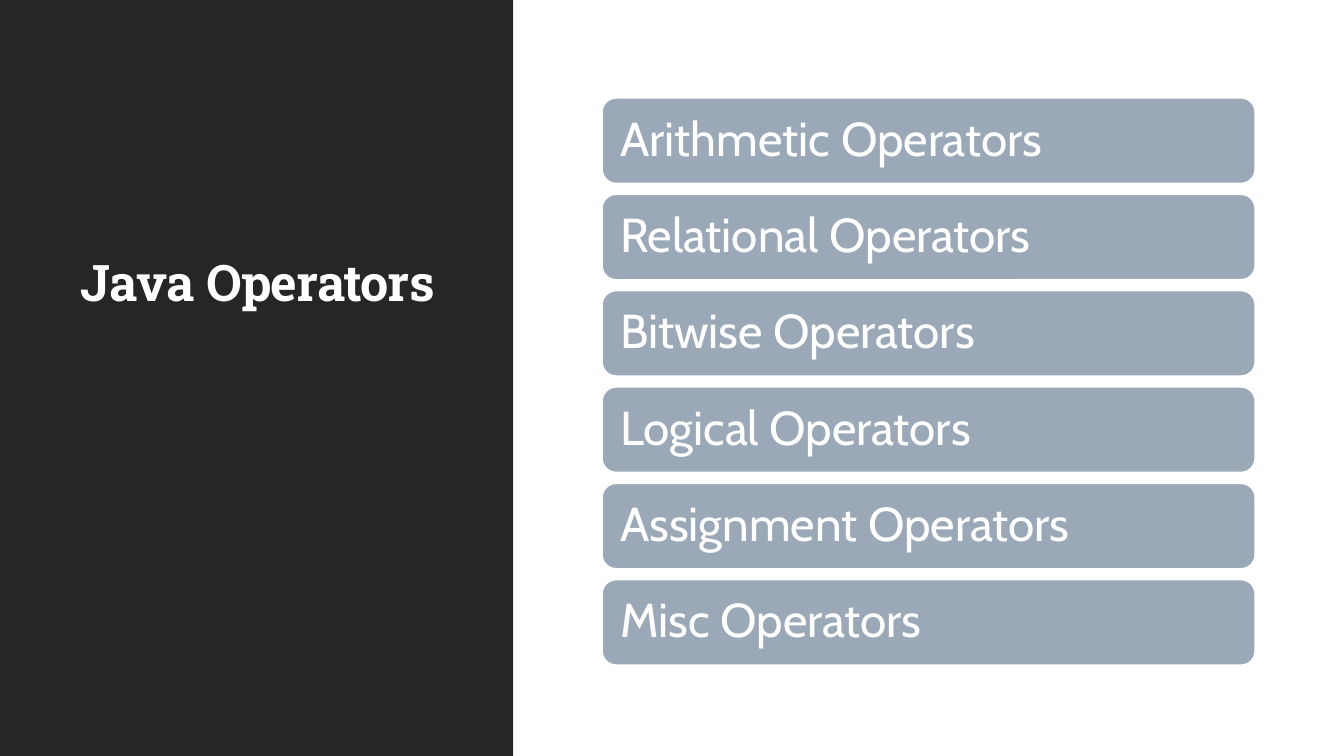
from collections import namedtuple
from dataclasses import dataclass

from pptx import Presentation
from pptx.dml.color import RGBColor as Color
from pptx.enum.shapes import MSO_SHAPE as Preset
from pptx.enum.text import MSO_ANCHOR as Anchor, MSO_AUTO_SIZE as AutoSize, PP_ALIGN as Align
from pptx.util import Inches, Pt

Box = namedtuple("Box", "left top width height")


@dataclass(frozen=True)
class Theme:
    panel: Color = Color.from_string("262626")
    bar: Color = Color.from_string("9BA8B7")
    light: Color = Color.from_string("FFFFFF")
    title_font: str = "Roboto Slab"
    item_font: str = "Cabin"
    title_size: int = 36
    item_size: int = 34
    outline: float = 1.25


THEME = Theme()
WIDTH, HEIGHT = 13.33, 7.5
TITLE = "Java Operators"
OPERATORS = ["Arithmetic", "Relational", "Bitwise", "Logical", "Assignment", "Misc"]


def set_attributes(target, values):
    for name, value in values.items():
        setattr(target, name, value)


def place(shape, box):
    set_attributes(shape, {name: Inches(value) for name, value in box._asdict().items()})


def add_filled(slide, preset, box, color):
    shape = slide.shapes.add_shape(preset, *map(Inches, box))
    shape.shadow.inherit = False
    shape.fill.solid()
    shape.fill.fore_color.rgb = color
    shape.line.fill.background()
    return shape


def write(shape, text, frame_values, font_values):
    frame = shape.text_frame
    set_attributes(frame, {"word_wrap": True, "auto_size": AutoSize.NONE, **frame_values})
    para = frame.paragraphs[0]
    set_attributes(para, {"alignment": Align.LEFT, "line_spacing": 0.9})
    span = para.add_run()
    span.text = text
    set_attributes(span.font, font_values)
    span.font.color.rgb = THEME.light


def title_panel(slide, box):
    # Dark panel, kept behind the title
    panel = add_filled(slide, Preset.RECTANGLE, box, THEME.panel)
    title = slide.shapes.title
    title.element.addprevious(panel.element)

    # Title
    place(title, Box(box.left + 0.7, box.top + 0.86, box.width - 1.24, 2.29))
    write(title, TITLE, {"vertical_anchor": Anchor.BOTTOM},
          {"name": THEME.title_font, "size": Pt(THEME.title_size), "bold": True})
    for properties in title.element.xpath(".//a:rPr"):
        properties.set("spc", "-50")


def operator_list(slide, box):
    # Equal bars with equal gaps
    gap = 0.105
    bar_height = (box.height + gap) / len(OPERATORS) - gap
    for row, kind in enumerate(OPERATORS):
        top = box.top + row * (bar_height + gap)
        bar = add_filled(slide, Preset.ROUNDED_RECTANGLE,
                         Box(box.left, top, box.width, bar_height), THEME.bar)
        bar.line.color.rgb = THEME.light
        bar.line.width = Pt(THEME.outline)
        write(bar, f"{kind} Operators",
              {"vertical_anchor": Anchor.MIDDLE, "margin_left": Inches(0.14),
               "margin_right": Inches(0.14), "margin_top": 0, "margin_bottom": 0},
              {"name": THEME.item_font, "size": Pt(THEME.item_size)})


def main():
    deck = Presentation()
    set_attributes(deck, {"slide_width": Inches(WIDTH), "slide_height": Inches(HEIGHT)})
    title_only = deck.slide_layouts[5]
    slide = deck.slides.add_slide(title_only)
    title_panel(slide, Box(0, 0, 5.09, HEIGHT))
    operator_list(slide, Box(5.97, 0.97, 6.48, 5.63))
    deck.save("out.pptx")


if __name__ == "__main__":
    main()
